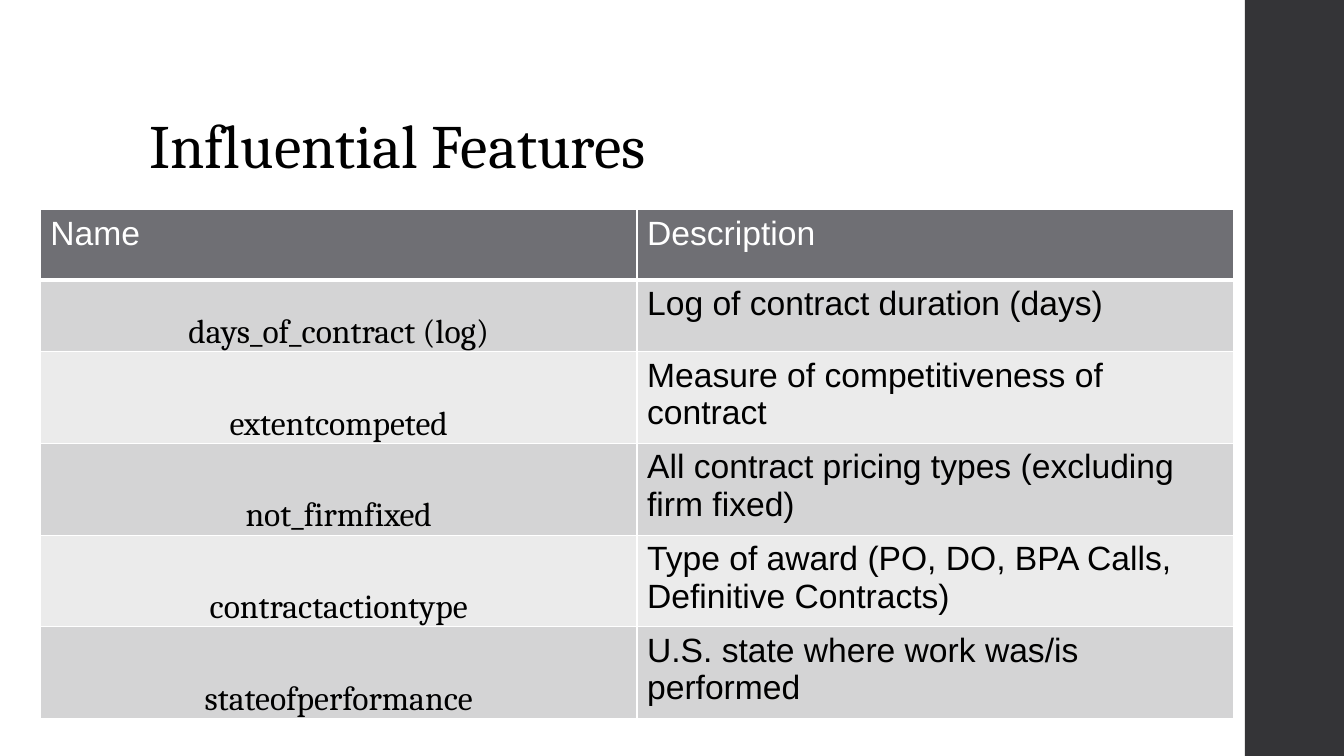
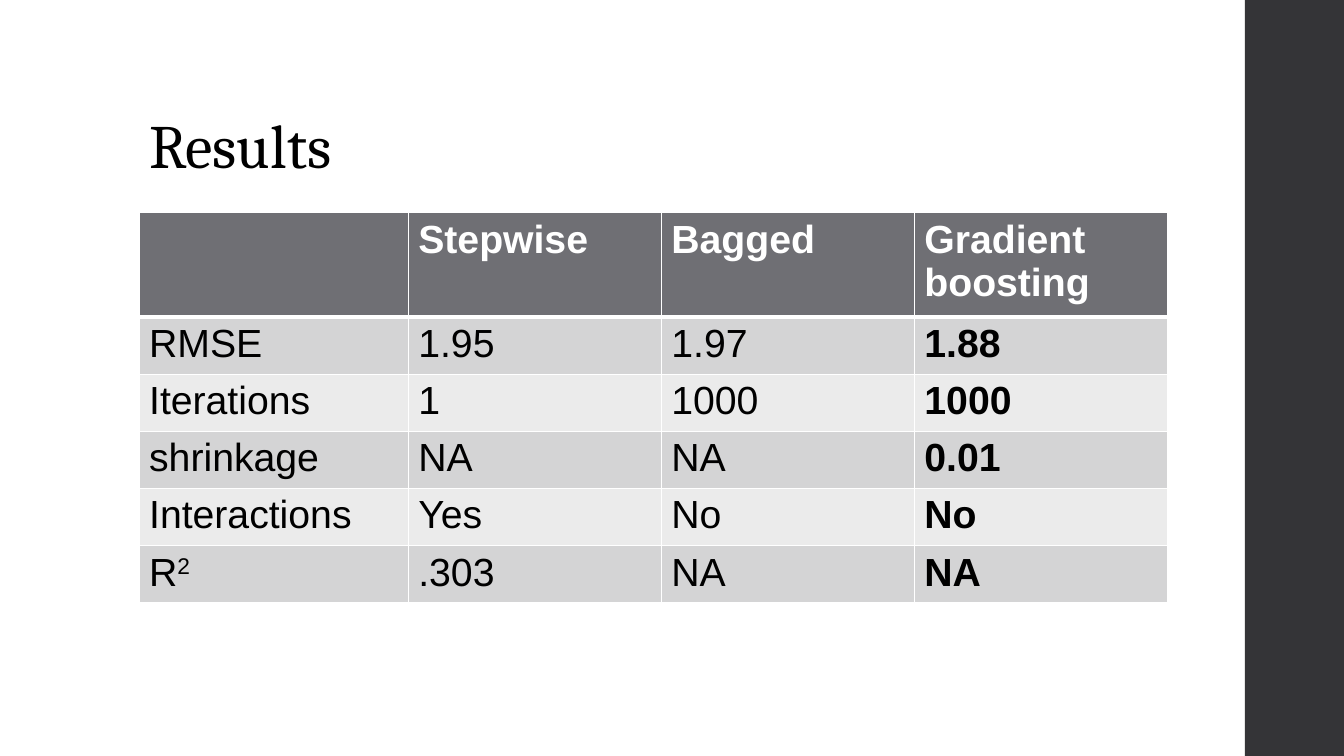
from pptx import Presentation
from pptx.dml.color import RGBColor as RGB
from pptx.enum.shapes import MSO_SHAPE as Kind
from pptx.enum.text import MSO_ANCHOR as Anchor, PP_ALIGN as Align
from pptx.oxml import parse_xml
from pptx.oxml.ns import nsdecls
from pptx.util import Inches, Pt

WHITE = RGB(0xFF, 0xFF, 0xFF)
BLACK = RGB(0x00, 0x00, 0x00)
DARK = RGB(0x34, 0x34, 0x37)
HEAD = RGB(0x6F, 0x6F, 0x74)
BANDS = RGB(0xD4, 0xD4, 0xD5), RGB(0xEB, 0xEB, 0xEB)
SERIF, SANS = "Cambria", "Arial"
GRID = 100


class Deck:
    def __init__(self):
        self.show = Presentation()
        self.show.slide_width = Inches(13.33)
        self.show.slide_height = Inches(7.5)
        self.slide = None

    def x(self, cols):
        return int(self.show.slide_width * cols / GRID)

    def y(self, rows):
        return int(self.show.slide_height * rows / GRID)

    def box(self, left, top, width, height):
        return self.x(left), self.y(top), self.x(width), self.y(height)

    def page(self, title):
        self.slide = self.show.slides.add_slide(self.show.slide_layouts[6])
        self.band()
        self.title(title)

    def band(self):
        left = 92.62
        area = self.box(left, 0, GRID - left, GRID)
        band = self.slide.shapes.add_shape(Kind.RECTANGLE, *area)
        band.shadow.inherit = False
        band.fill.solid()
        band.fill.fore_color.rgb = DARK
        band.line.fill.background()

    def title(self, text):
        area = self.box(10.35, 5.33, 79.5, 19.33)
        frame = self.slide.shapes.add_textbox(*area).text_frame
        frame.word_wrap = True
        frame.vertical_anchor = Anchor.BOTTOM
        para = frame.paragraphs[0]
        para.line_spacing = 0.9
        self.words(para, text, 44, SERIF)

    def words(self, para, text, size, face=SANS, ink=BLACK, bold=False):
        for i, part in enumerate(text.split("^")):
            run = para.add_run()
            run.text = part
            font = run.font
            font.size, font.name, font.bold = Pt(size), face, bold
            font.color.rgb = ink
            if i % 2:
                run._r.get_or_add_rPr().set("baseline", "30000")

    def edge(self, cell, top, bottom):
        props = cell._tc.get_or_add_tcPr()
        for side, width in zip("LRTB", (1, 1, top, bottom)):
            props.append(parse_xml(
                f'<a:ln{side} {nsdecls("a")} w="{Pt(width)}"><a:solidFill>'
                f'<a:srgbClr val="{WHITE}"/></a:solidFill></a:ln{side}>'))

    def table(self, left, top, cols, rows, data, size, style):
        area = self.box(left, top, sum(cols), sum(rows))
        table = self.slide.shapes.add_table(len(rows), len(cols), *area).table
        table.first_row = table.horz_banding = False
        for col, width in zip(table.columns, cols):
            col.width = self.x(width)
        for r, (line, height) in enumerate(zip(data, rows)):
            table.rows[r].height = self.y(height)
            for c, text in enumerate(line):
                cell = table.cell(r, c)
                self.edge(cell, 3 if r == 1 else 1, 3 if r == 0 else 1)
                cell.fill.solid()
                cell.fill.fore_color.rgb = BANDS[(r - 1) % 2] if r else HEAD
                look = style(cell, r, c)
                if text:
                    para = cell.text_frame.paragraphs[0]
                    self.words(para, text, size, ink=BLACK if r else WHITE, **look)


def names(cell, r, c):
    if r == 0 or c > 0:
        return {}
    cell.vertical_anchor = Anchor.BOTTOM
    cell.margin_left = cell.margin_right = cell.margin_top = Inches(0.01)
    cell.margin_bottom = 0
    cell.text_frame.paragraphs[0].alignment = Align.CENTER
    return {"face": SERIF}


def scores(cell, r, c):
    return {"bold": r == 0 or c == 3}


FEATURES = [
    ("Name", "Description"),
    ("days_of_contract (log)", "Log of contract duration (days)"),
    ("extentcompeted", "Measure of competitiveness of contract"),
    ("not_firmfixed", "All contract pricing types (excluding firm fixed)"),
    ("contractactiontype", "Type of award (PO, DO, BPA Calls, Definitive Contracts)"),
    ("stateofperformance", "U.S. state where work was/is performed"),
]
RESULTS = [
    ("", "Stepwise", "Bagged", "Gradient boosting"),
    ("RMSE", "1.95", "1.97", "1.88"),
    ("Iterations", "1", "1000", "1000"),
    ("shrinkage", "NA", "NA", "0.01"),
    ("Interactions", "Yes", "No", "No"),
    ("R^2", ".303", "NA", "NA"),
]


def main():
    deck = Deck()
    deck.page("Influential Features")
    deck.table(3, 27.73, [44.4] * 2, [9.33, 9.47] + [12.13] * 4,
               FEATURES, 24, names)
    deck.page("Results")
    deck.table(10.35, 28.13, [20.03] + [18.83] * 3, [12.8] + [7.13] * 5,
               RESULTS, 28, scores)
    deck.show.save("out.pptx")


if __name__ == "__main__":
    main()
